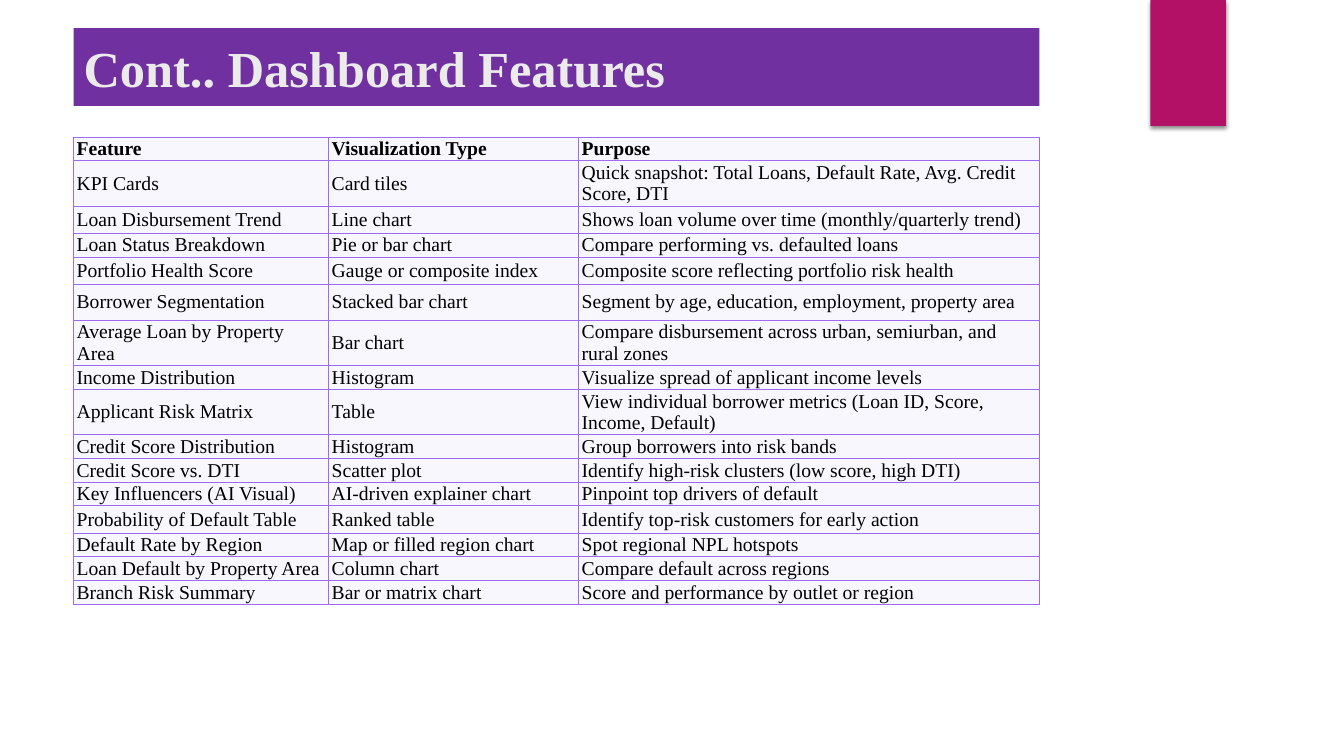
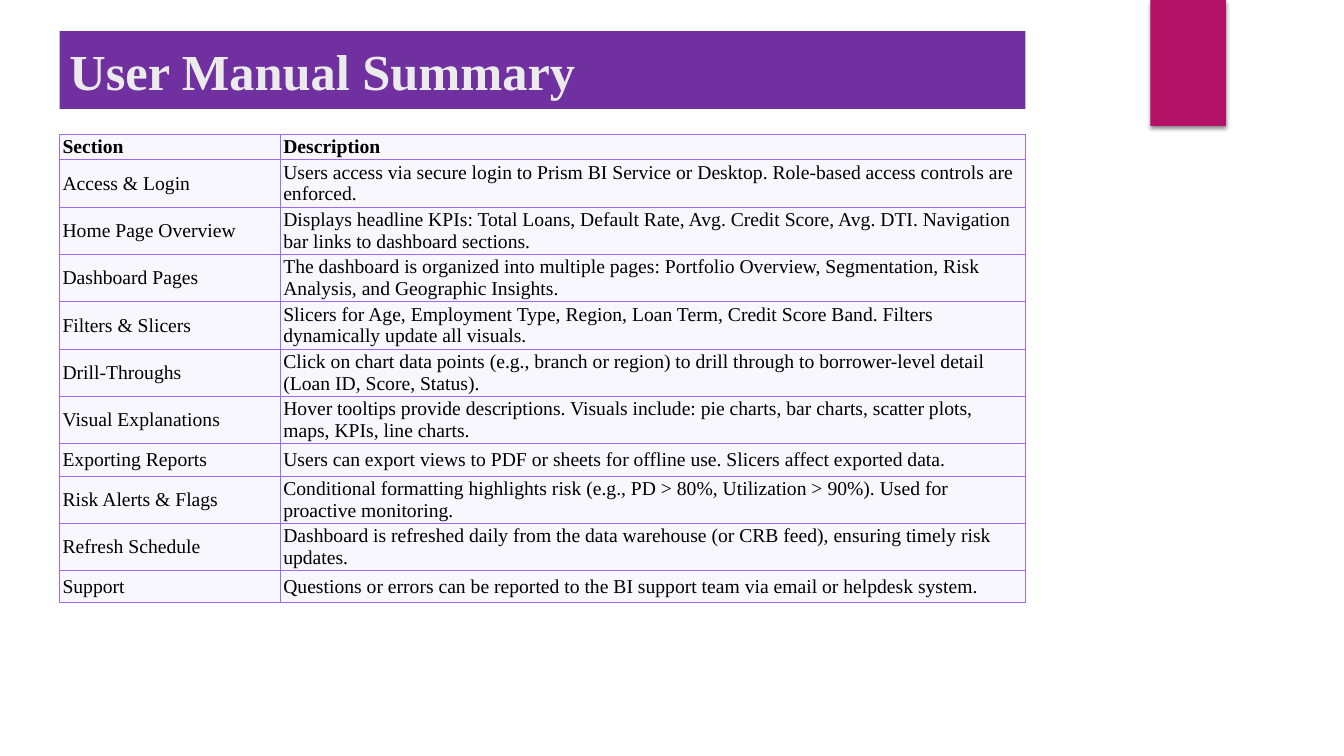
"""Build two dashboard slides, each with a title band, a corner ribbon and a table."""
from lxml import etree
from pptx import Presentation
from pptx import util as u
from pptx.dml.color import RGBColor
from pptx.enum import shapes, text
from pptx.oxml import parse_xml
from pptx.oxml.ns import nsdecls

FONT = "Times New Roman"
BAND, RIBBON, TITLE = "7030A0", "B31166", "EBEBEB"
CELL, BORDER, INK = "F8F7FE", "9B6BF2", "000000"
TABLE_WIDTH, BAND_HEIGHT = 9.58, 0.77

SLIDES = [
    {
        "title": "Cont.. Dashboard Features",
        "left": 0.73, "band_top": 0.28, "table_top": 1.36, "inset": 0.01,
        "columns": [2.53, 2.48, 4.57],
        "rows": [
            (0.11, "Feature", "Visualization Type", "Purpose"),
            (0.27, "KPI Cards", "Card tiles",
             "Quick snapshot: Total Loans, Default Rate, Avg. Credit Score, DTI"),
            (0.27, "Loan Disbursement Trend", "Line chart",
             "Shows loan volume over time (monthly/quarterly trend)"),
            (0.19, "Loan Status Breakdown", "Pie or bar chart",
             "Compare performing vs. defaulted loans"),
            (0.27, "Portfolio Health Score", "Gauge or composite index",
             "Composite score reflecting portfolio risk health"),
            (0.36, "Borrower Segmentation", "Stacked bar chart",
             "Segment by age, education, employment, property area"),
            (0.36, "Average Loan by Property Area", "Bar chart",
             "Compare disbursement across urban, semiurban, and rural zones"),
            (0.19, "Income Distribution", "Histogram",
             "Visualize spread of applicant income levels"),
            (0.27, "Applicant Risk Matrix", "Table",
             "View individual borrower metrics (Loan ID, Score, Income, Default)"),
            (0.19, "Credit Score Distribution", "Histogram",
             "Group borrowers into risk bands"),
            (0.19, "Credit Score vs. DTI", "Scatter plot",
             "Identify high-risk clusters (low score, high DTI)"),
            (0.19, "Key Influencers (AI Visual)", "AI-driven explainer chart",
             "Pinpoint top drivers of default"),
            (0.27, "Probability of Default Table", "Ranked table",
             "Identify top-risk customers for early action"),
            (0.19, "Default Rate by Region", "Map or filled region chart",
             "Spot regional NPL hotspots"),
            (0.19, "Loan Default by Property Area", "Column chart",
             "Compare default across regions"),
            (0.19, "Branch Risk Summary", "Bar or matrix chart",
             "Score and performance by outlet or region"),
        ],
    },
    {
        "title": "User Manual Summary",
        "left": 0.59, "band_top": 0.31, "table_top": 1.33, "inset": 0.02,
        "columns": [2.19, 7.39],
        "rows": [
            (0.13, "Section", "Description"),
            (0.32, "Access & Login",
             "Users access via secure login to Prism BI Service or Desktop. "
             "Role-based access controls are enforced."),
            (0.42, "Home Page Overview",
             "Displays headline KPIs: Total Loans, Default Rate, Avg. Credit Score, "
             "Avg. DTI. Navigation bar links to dashboard sections."),
            (0.42, "Dashboard Pages",
             "The dashboard is organized into multiple pages: Portfolio Overview, "
             "Segmentation, Risk Analysis, and Geographic Insights."),
            (0.42, "Filters & Slicers",
             "Slicers for Age, Employment Type, Region, Loan Term, Credit Score Band. "
             "Filters dynamically update all visuals."),
            (0.42, "Drill-Throughs",
             "Click on chart data points (e.g., branch or region) to drill through to "
             "borrower-level detail (Loan ID, Score, Status)."),
            (0.32, "Visual Explanations",
             "Hover tooltips provide descriptions. Visuals include: pie charts, "
             "bar charts, scatter plots, maps, KPIs, line charts."),
            (0.32, "Exporting Reports",
             "Users can export views to PDF or sheets for offline use. "
             "Slicers affect exported data."),
            (0.32, "Risk Alerts & Flags",
             "Conditional formatting highlights risk (e.g., PD > 80%, "
             "Utilization > 90%). Used for proactive monitoring."),
            (0.32, "Refresh Schedule",
             "Dashboard is refreshed daily from the data warehouse (or CRB feed), "
             "ensuring timely risk updates."),
            (0.32, "Support",
             "Questions or errors can be reported to the BI support team via email "
             "or helpdesk system."),
        ],
    },
]


def paint(fill, color):
    fill.solid()
    fill.fore_color.rgb = RGBColor.from_string(color)


def write(frame, words, size, color, bold):
    paragraph = frame.paragraphs[0]
    paragraph.alignment = text.PP_ALIGN.LEFT
    run = paragraph.add_run()
    run.text = words
    for name, value in {"name": FONT, "size": u.Pt(size), "bold": bold}.items():
        setattr(run.font, name, value)
    paint(run.font.fill, color)


def add_block(slide, box, color):
    block = slide.shapes.add_shape(shapes.MSO_SHAPE.RECTANGLE, *map(u.Inches, box))
    paint(block.fill, color)
    block.line.fill.background()
    block.shadow.inherit = False
    return block


def add_ribbon(slide):
    ribbon = add_block(slide, (11.41, 0, 0.75, 1.25), RIBBON)
    effects = ribbon.element.spPr.find("{*}effectLst")
    effects.append(parse_xml(
        f'<a:outerShdw {nsdecls("a")} blurRad="{u.Pt(3)}" dist="{u.Pt(2)}" dir="5400000" '
        'rotWithShape="0"><a:srgbClr val="000000"><a:alpha val="45000"/></a:srgbClr>'
        '</a:outerShdw>'))


def add_title(slide, content):
    band = add_block(
        slide, (content["left"], content["band_top"], TABLE_WIDTH, BAND_HEIGHT), BAND)
    band.text_frame.word_wrap = True
    band.text_frame.vertical_anchor = text.MSO_ANCHOR.MIDDLE
    write(band.text_frame, content["title"], 36, TITLE, True)


def add_borders(cell):
    properties = cell._tc.get_or_add_tcPr()
    for order, side in enumerate(("lnL", "lnR", "lnT", "lnB")):
        properties.insert(order, etree.fromstring(
            f'<a:{side} {nsdecls("a")} w="{u.Pt(0.75)}"><a:solidFill>'
            f'<a:srgbClr val="{BORDER}"/></a:solidFill></a:{side}>'))


def add_grid(slide, content):
    rows, columns = content["rows"], content["columns"]
    box = (content["left"], content["table_top"], TABLE_WIDTH, sum(row[0] for row in rows))
    table = slide.shapes.add_table(len(rows), len(columns), *map(u.Inches, box)).table
    table.first_row = table.horz_banding = False
    for column, width in zip(table.columns, columns):
        column.width = u.Inches(width)
    side, edge = u.Inches(0.03), u.Inches(content["inset"])
    layout = {"margin_left": side, "margin_right": side, "margin_top": edge,
              "margin_bottom": edge, "vertical_anchor": text.MSO_ANCHOR.MIDDLE}
    for index, (height, *entries) in enumerate(rows):
        table.rows[index].height = u.Inches(height)
        for cell, entry in zip(table.rows[index].cells, entries):
            for name, value in layout.items():
                setattr(cell, name, value)
            write(cell.text_frame, entry, 14, INK, index == 0)
            paint(cell.fill, CELL)
            add_borders(cell)


def main():
    deck = Presentation()
    deck.slide_width, deck.slide_height = u.Inches(13.33), u.Inches(7.5)
    for content in SLIDES:
        slide = deck.slides.add_slide(deck.slide_layouts[6])
        add_ribbon(slide)
        add_title(slide, content)
        add_grid(slide, content)
    deck.save("out.pptx")


if __name__ == "__main__":
    main()
